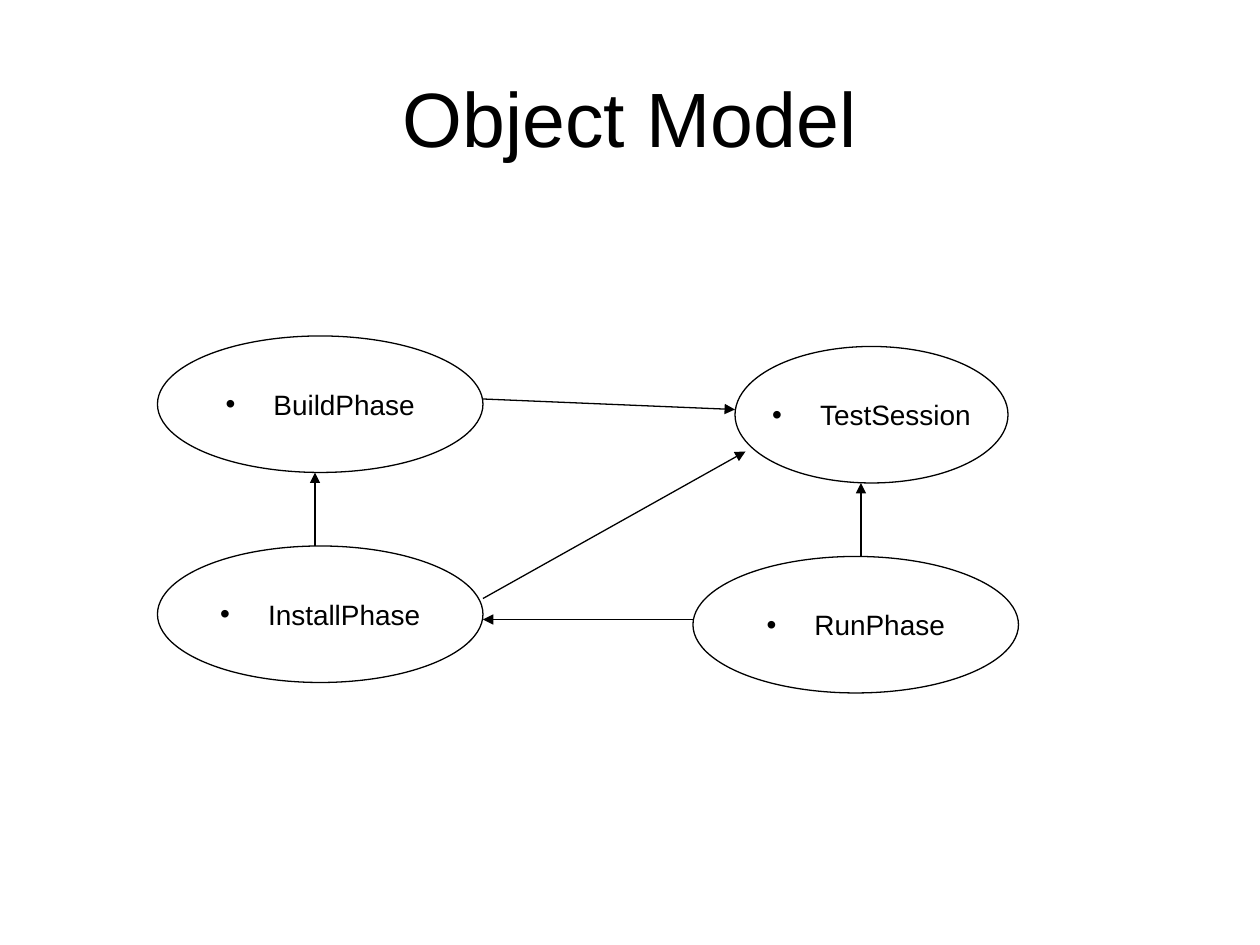
"""Build the Object Model slide: four linked phases and their session."""
from lxml import etree
from pptx import Presentation
from pptx.dml.color import RGBColor
from pptx.enum.shapes import MSO_CONNECTOR, MSO_SHAPE
from pptx.enum.text import MSO_ANCHOR, PP_ALIGN
from pptx.oxml.ns import qn
from pptx.util import Inches, Pt

BLACK = RGBColor(0, 0, 0)
WHITE = RGBColor(255, 255, 255)
ELLIPSE = MSO_SHAPE.OVAL
STRAIGHT = MSO_CONNECTOR.STRAIGHT
MIDDLE = MSO_ANCHOR.MIDDLE
CENTER = PP_ALIGN.CENTER
FONT = "Arial"
CELL = Inches(1) // 12
BULLET_INDENT = Inches(0.38)
CLASS_HEIGHT = 13


def add_label(paragraph, text, size):
    paragraph.alignment = CENTER
    run = paragraph.add_run()
    run.text = text
    run.font.name = FONT
    run.font.size = Pt(size)
    run.font.color.rgb = BLACK


def add_bullet(paragraph):
    properties = paragraph._p.get_or_add_pPr()
    properties.set("marL", str(BULLET_INDENT))
    properties.set("indent", str(-BULLET_INDENT))
    color = etree.SubElement(properties, qn("a:buClr"))
    etree.SubElement(color, qn("a:srgbClr"), val=str(BLACK))
    etree.SubElement(properties, qn("a:buFont"), typeface=FONT)
    etree.SubElement(properties, qn("a:buChar"), char="•")


prs = Presentation()
prs.slide_width = 120 * CELL
prs.slide_height = 90 * CELL
slide = prs.slides.add_slide(prs.slide_layouts[5])

title = slide.shapes.title
title.left, title.top = int(prs.slide_width * 0.05), int(prs.slide_height * 0.04)
title.width, title.height = int(prs.slide_width * 0.9), 15 * CELL
title.text_frame.vertical_anchor = MIDDLE
add_label(title.text_frame.paragraphs[0], "Object Model", 44)

classes = [
    ("TestSession", 70, 33, 26),
    ("BuildPhase", 15, 32, 31),
    ("InstallPhase", 15, 52, 31),
    ("RunPhase", 66, 53, 31),
]
for name, column, row, columns in classes:
    node = slide.shapes.add_shape(
        ELLIPSE, column * CELL, row * CELL, columns * CELL, CLASS_HEIGHT * CELL)
    node.shadow.inherit = False
    node.fill.solid()
    node.fill.fore_color.rgb = WHITE
    node.line.color.rgb = BLACK
    node.line.width = Pt(0.75)
    node.text_frame.word_wrap = False
    node.text_frame.vertical_anchor = MIDDLE
    label = node.text_frame.paragraphs[0]
    add_bullet(label)
    add_label(label, name, 16)

references = [
    (46, 38, 70, 39),
    (46, 57, 71, 43),
    (82, 53, 82, 46),
    (66, 59, 46, 59),
    (30, 52, 30, 45),
]
for reference in references:
    arrow = slide.shapes.add_connector(STRAIGHT, *(place * CELL for place in reference))
    arrow.line.color.rgb = BLACK
    arrow.line.width = Pt(0.75)
    etree.SubElement(arrow.line._get_or_add_ln(), qn("a:tailEnd"), type="triangle")
    etree.SubElement(arrow._element.spPr, qn("a:effectLst"))

prs.save("out.pptx")
